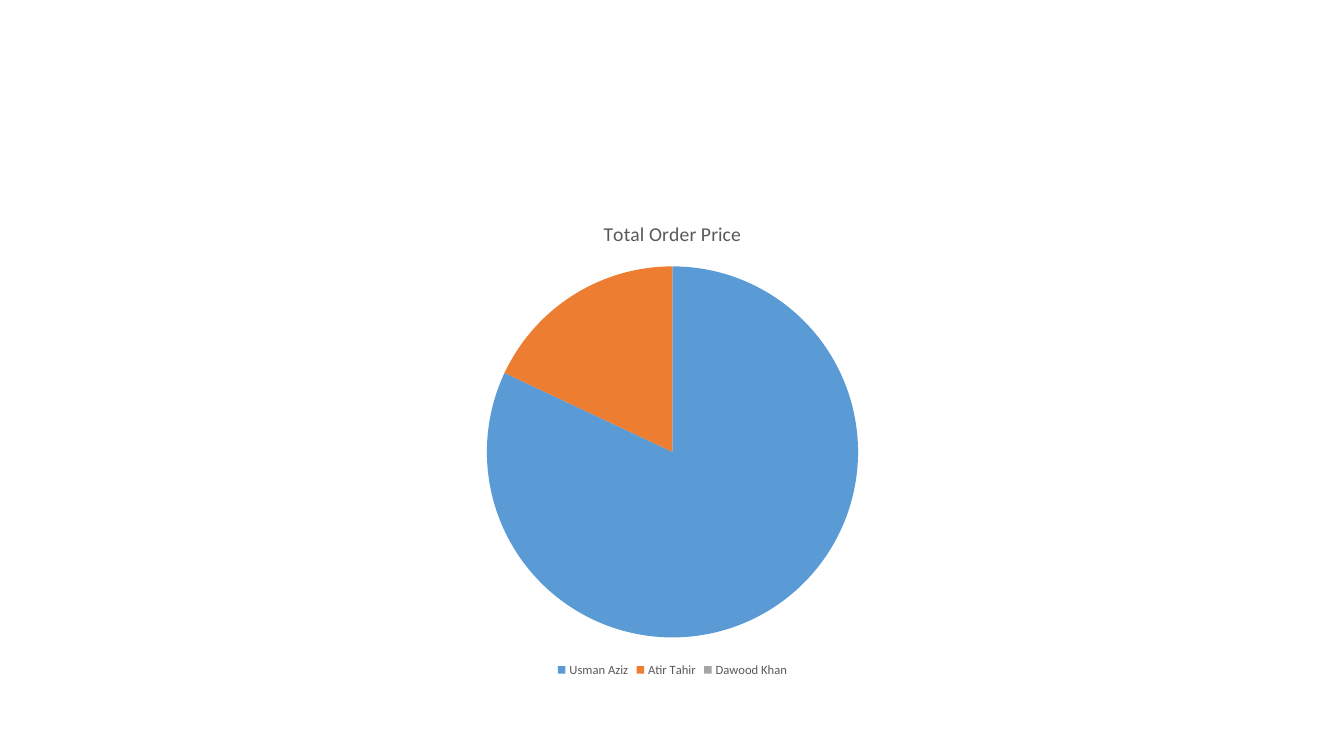
from dataclasses import dataclass

from pptx import Presentation
from pptx.chart.data import CategoryChartData
from pptx.dml.color import RGBColor
from pptx.enum.chart import XL_CHART_TYPE, XL_LEGEND_POSITION
from pptx.util import Inches, Pt

PIE = XL_CHART_TYPE.PIE
BOTTOM = XL_LEGEND_POSITION.BOTTOM

BLUE = RGBColor(0x5B, 0x9B, 0xD5)
ORANGE = RGBColor(0xED, 0x7D, 0x31)
GRAY = RGBColor(0xA5, 0xA5, 0xA5)
TEXT_GRAY = RGBColor(0x59, 0x59, 0x59)
BLACK = RGBColor(0, 0, 0)

FONT_NAME = "Calibri"
CHART_TITLE = "Total Order Price"
BLANK_LAYOUT = 6


@dataclass(frozen=True)
class Customer:
    name: str
    share: int
    color: RGBColor


CUSTOMERS = [
    Customer("Usman Aziz", 82, BLUE),
    Customer("Atir Tahir", 18, ORANGE),
    Customer("Dawood Khan", 0, GRAY),
]


def set_font(font, size: float, color: RGBColor) -> None:
    font.name = FONT_NAME
    font.size = Pt(size)
    font.bold = False
    font.color.rgb = color


def add_order_chart(slide, customers: list[Customer]) -> None:
    chart_data = CategoryChartData()
    chart_data.categories = [customer.name for customer in customers]
    chart_data.add_series(CHART_TITLE, [customer.share for customer in customers])
    chart = slide.shapes.add_chart(
        PIE, Inches(0.92), Inches(2), Inches(11.5), Inches(4.76), chart_data
    ).chart
    set_font(chart.font, 10, BLACK)

    # Title
    chart.has_title = True
    title = chart.chart_title
    title.include_in_layout = False
    title.text_frame.text = CHART_TITLE
    set_font(title.text_frame.paragraphs[0].font, 14, TEXT_GRAY)

    # Legend
    chart.has_legend = True
    chart.legend.position = BOTTOM
    chart.legend.include_in_layout = False
    set_font(chart.legend.font, 9, TEXT_GRAY)

    # Slices
    plot = chart.plots[0]
    plot.vary_by_categories = True
    for index, customer in enumerate(customers):
        slice_format = plot.series[0].points[index].format
        slice_format.fill.solid()
        slice_format.fill.fore_color.rgb = customer.color
        slice_format.line.fill.background()


def main() -> None:
    presentation = Presentation()
    presentation.slide_width = Inches(13.33)
    presentation.slide_height = Inches(7.5)
    slide = presentation.slides.add_slide(presentation.slide_layouts[BLANK_LAYOUT])
    add_order_chart(slide, CUSTOMERS)
    presentation.save("out.pptx")


if __name__ == "__main__":
    main()
